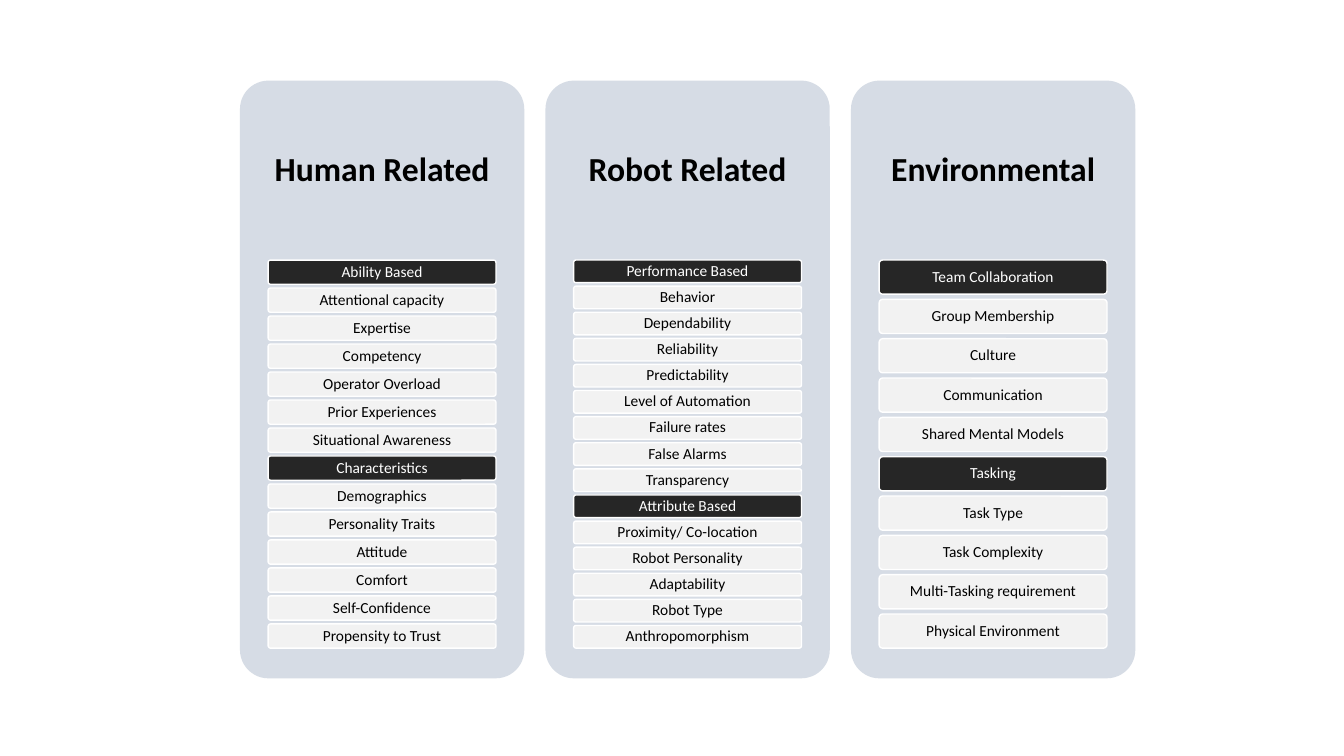
from pptx import Presentation
from pptx.dml.color import RGBColor
from pptx.enum.shapes import MSO_SHAPE as SHAPE
from pptx.enum.text import MSO_ANCHOR as ANCHOR, PP_ALIGN as ALIGN
from pptx.util import Inches, Pt

PANEL = RGBColor(0xD6, 0xDC, 0xE5)
DARK = RGBColor(0x26, 0x26, 0x26)
LIGHT = RGBColor(0xF2, 0xF2, 0xF2)
WHITE = RGBColor(0xFF, 0xFF, 0xFF)
BLACK = RGBColor(0, 0, 0)

PANEL_LEFT, PANEL_TOP, PANEL_W, PANEL_H = 2.38, 0.8, 2.82, 5.93
PANEL_STEP = 3.03
TITLE_H = 1.78
ROW_INDENT, ROW_W = 0.28, 2.26
ROWS_TOP, ROWS_H = 2.58, 3.85
GAP_RATIO = 2 / 13

COLUMNS = [
    ("Human Related", [
        ("Ability Based", ["Attentional capacity", "Expertise", "Competency",
                           "Operator Overload", "Prior Experiences",
                           "Situational Awareness"]),
        ("Characteristics", ["Demographics", "Personality Traits", "Attitude",
                             "Comfort", "Self-Confidence",
                             "Propensity to Trust"]),
    ]),
    ("Robot Related", [
        ("Performance Based", ["Behavior", "Dependability", "Reliability",
                               "Predictability", "Level of Automation",
                               "Failure rates", "False Alarms",
                               "Transparency"]),
        ("Attribute Based", ["Proximity/ Co-location", "Robot Personality",
                             "Adaptability", "Robot Type",
                             "Anthropomorphism"]),
    ]),
    ("Environmental", [
        ("Team Collaboration", ["Group Membership", "Culture",
                                "Communication", "Shared Mental Models"]),
        ("Tasking", ["Task Type", "Task Complexity",
                     "Multi-Tasking requirement", "Physical Environment"]),
    ]),
]


def write(sp, text, size=11, color=BLACK, bold=False, inset=(0.03, 0.02)):
    tf = sp.text_frame
    tf.word_wrap = True
    tf.vertical_anchor = ANCHOR.MIDDLE
    tf.margin_left = tf.margin_right = Inches(inset[0])
    tf.margin_top = tf.margin_bottom = Inches(inset[1])
    p = tf.paragraphs[0]
    p.alignment = ALIGN.CENTER
    p.line_spacing = 0.9
    r = p.add_run()
    r.text = text
    r.font.name = "Calibri"
    r.font.size = Pt(size)
    r.font.bold = bold
    r.font.color.rgb = color


class Deck:
    def __init__(self, s):
        self.s = s

    def box(self, x, y, w, h, fill, line=None):
        sp = self.s.shapes.add_shape(
            SHAPE.ROUNDED_RECTANGLE, Inches(x), Inches(y), Inches(w), Inches(h))
        sp.adjustments[0] = 0.1
        sp.shadow.inherit = False
        sp.fill.solid()
        sp.fill.fore_color.rgb = fill
        if line is None:
            sp.line.fill.background()
        else:
            sp.line.color.rgb = line
            sp.line.width = Pt(1)
        return sp

    def title(self, x, y, w, h, text):
        sp = self.s.shapes.add_textbox(Inches(x), Inches(y), Inches(w), Inches(h))
        write(sp, text, size=24, bold=True, inset=(0.1, 0.1))

    def row(self, x, y, w, h, text, heading):
        sp = self.box(x, y, w, h, DARK if heading else LIGHT, line=WHITE)
        write(sp, text, color=WHITE if heading else BLACK)

    def column(self, x, title, groups):
        self.box(x, PANEL_TOP, PANEL_W, PANEL_H, PANEL)
        self.title(x, PANEL_TOP, PANEL_W, TITLE_H, title)
        rows = []
        for heading, factors in groups:
            rows.append((heading, True))
            rows.extend((factor, False) for factor in factors)
        row_h = ROWS_H / (len(rows) + (len(rows) - 1) * GAP_RATIO)
        step = row_h * (1 + GAP_RATIO)
        for i, (text, heading) in enumerate(rows):
            self.row(x + ROW_INDENT, ROWS_TOP + i * step, ROW_W, row_h,
                     text, heading)


prs = Presentation()
prs.slide_width = Inches(13.33)
prs.slide_height = Inches(7.5)
deck = Deck(prs.slides.add_slide(prs.slide_layouts[6]))
for i, (title, groups) in enumerate(COLUMNS):
    deck.column(PANEL_LEFT + i * PANEL_STEP, title, groups)
prs.save("out.pptx")
